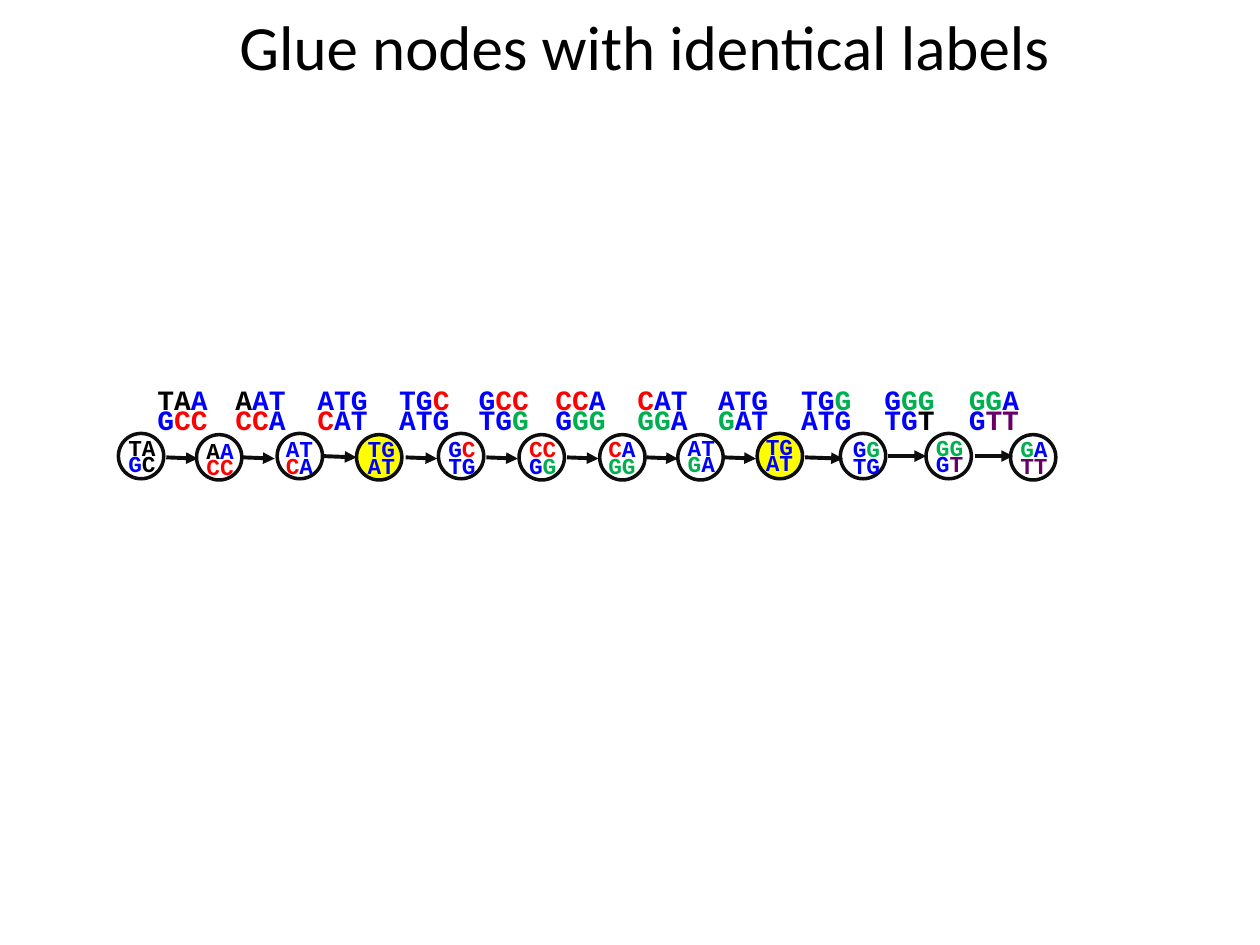
from itertools import groupby
from lxml.etree import SubElement
from pptx import Presentation
from pptx.dml.color import RGBColor
from pptx.enum.shapes import MSO_CONNECTOR as Connector, MSO_SHAPE as Shape
from pptx.enum.text import MSO_AUTO_SIZE as AutoSize, PP_ALIGN as Align
from pptx.oxml.ns import qn
from pptx.util import Inches, Pt

TITLE = "Glue nodes with identical labels"
COLORS = {"k": "000000", "b": "0000FF", "r": "FF0000", "g": "00B050", "p": "660066"}
INK, GLUED = "0D0D0D", "FFFF00"
DIAMETER = 0.36

# circle left, circle top, label left, label top, lines with one colour key per letter
NODES = [
    (0.94, 3.44, 0.92, 3.47, [("TA", "kk"), ("GC", "bk")]),
    (1.56, 3.45, 1.54, 3.49, [("AA", "kb"), ("CC", "rr")]),
    (2.20, 3.44, 2.17, 3.48, [("AT", "bb"), ("CA", "rb")]),
    (2.83, 3.45, 2.82, 3.48, [("TG", "bb"), ("AT", "bb")]),
    (3.48, 3.44, 3.46, 3.48, [("GC", "br"), ("TG", "bb")]),
    (4.12, 3.45, 4.10, 3.48, [("CC", "rr"), ("GG", "bg")]),
    (4.76, 3.45, 4.73, 3.48, [("CA", "rb"), ("GG", "gg")]),
    (5.38, 3.45, 5.36, 3.47, [("AT", "bb"), ("GA", "gb")]),
    (6.01, 3.44, 5.98, 3.46, [("TG", "bb"), ("AT", "bb")]),
    (6.67, 3.44, 6.67, 3.48, [("GG", "bg"), ("TG", "bb")]),
    (7.35, 3.44, 7.33, 3.47, [("GG", "gg"), ("GT", "bp")]),
    (8.02, 3.45, 8.00, 3.48, [("GA", "gb"), ("TT", "pp")]),
]
GLUED_LABEL = ["TG", "AT"]

# arrow start x, start y, end x, end y, label left, label lines
EDGES = [
    (1.32, 3.63, 1.57, 3.64, 1.15, [("TAA", "kkb"), ("GCC", "brr")]),
    (1.93, 3.63, 2.18, 3.64, 1.77, [("AAT", "kbb"), ("CCA", "rrb")]),
    (2.56, 3.62, 2.83, 3.63, 2.42, [("ATG", "bbb"), ("CAT", "rbb")]),
    (3.22, 3.63, 3.47, 3.64, 3.07, [("TGC", "bbr"), ("ATG", "bbb")]),
    (3.86, 3.63, 4.11, 3.64, 3.70, [("GCC", "brr"), ("TGG", "bbg")]),
    (4.50, 3.63, 4.75, 3.64, 4.31, [("CCA", "rrb"), ("GGG", "bgg")]),
    (5.13, 3.63, 5.38, 3.64, 4.96, [("CAT", "rbb"), ("GGA", "ggb")]),
    (5.75, 3.63, 6.00, 3.64, 5.60, [("ATG", "bbb"), ("GAT", "gbb")]),
    (6.39, 3.63, 6.69, 3.64, 6.26, [("TGG", "bbg"), ("ATG", "bbb")]),
    (7.05, 3.62, 7.35, 3.62, 6.92, [("GGG", "bgg"), ("TGT", "bbk")]),
    (7.74, 3.62, 8.04, 3.62, 7.59, [("GGA", "ggb"), ("GTT", "bpp")]),
]
EDGE_LABEL_TOP = 3.08
TITLE_FONT = {"name": "Calibri", "size": Pt(36)}
NODE_FONT = {"name": "Courier New", "size": Pt(13), "bold": True}
EDGE_FONT = {"name": "Courier New", "size": Pt(16), "bold": True}


def color(value):
    return RGBColor.from_string(value)


def apply(target, values):
    for name, value in values.items():
        setattr(target, name, value)


def add_text(shapes, box, lines, font, wrap=False, **paragraph_format):
    frame = shapes.add_textbox(*map(Inches, box)).text_frame
    apply(frame, {"word_wrap": wrap, "auto_size": AutoSize.SHAPE_TO_FIT_TEXT})
    for index, (letters, keys) in enumerate(lines):
        paragraph = frame.add_paragraph() if index else frame.paragraphs[0]
        apply(paragraph, paragraph_format)
        for key, pairs in groupby(zip(letters, keys), lambda pair: pair[1]):
            run = paragraph.add_run()
            run.text = "".join(letter for letter, _ in pairs)
            apply(run.font, font)
            run.font.color.rgb = color(COLORS[key])


def add_arrow(shapes, ends):
    arrow = shapes.add_connector(Connector.STRAIGHT, *map(Inches, ends))
    arrow.line.color.rgb = color(INK)
    arrow.line.width = Pt(2.25)
    SubElement(arrow.line._get_or_add_ln(), qn("a:tailEnd"), type="triangle")
    SubElement(arrow._element.spPr, qn("a:effectLst"))


def add_circle(shapes, left, top, glued):
    circle = shapes.add_shape(Shape.OVAL, *map(Inches, (left, top, DIAMETER, DIAMETER)))
    circle.shadow.inherit = False
    if glued:
        circle.fill.solid()
        circle.fill.fore_color.rgb = color(GLUED)
    else:
        circle.fill.background()
    circle.line.color.rgb = color(INK)
    circle.line.width = Pt(2)


def main():
    presentation = Presentation()
    apply(presentation, {"slide_width": Inches(10), "slide_height": Inches(7.5)})
    slide = presentation.slides.add_slide(presentation.slide_layouts[6])
    add_text(slide.shapes, (0.07, 0.01, 10.09, 0.71), [(TITLE, "k" * len(TITLE))],
             TITLE_FONT, wrap=True, alignment=Align.CENTER)

    path_group = slide.shapes.add_group_shape().shapes
    for *ends, _, _ in EDGES:
        add_arrow(path_group, ends)
    for left, top, label_left, label_top, lines in NODES:
        add_circle(path_group, left, top, [letters for letters, _ in lines] == GLUED_LABEL)
        add_text(path_group, (label_left, label_top, 0.42, 0.36), lines, NODE_FONT,
                 line_spacing=0.6)

    edge_labels = slide.shapes.add_group_shape().shapes
    for *_, left, lines in EDGES:
        add_text(edge_labels, (left, EDGE_LABEL_TOP, 0.61, 0.42), lines, EDGE_FONT,
                 line_spacing=0.6)
    presentation.save("out.pptx")


if __name__ == "__main__":
    main()
